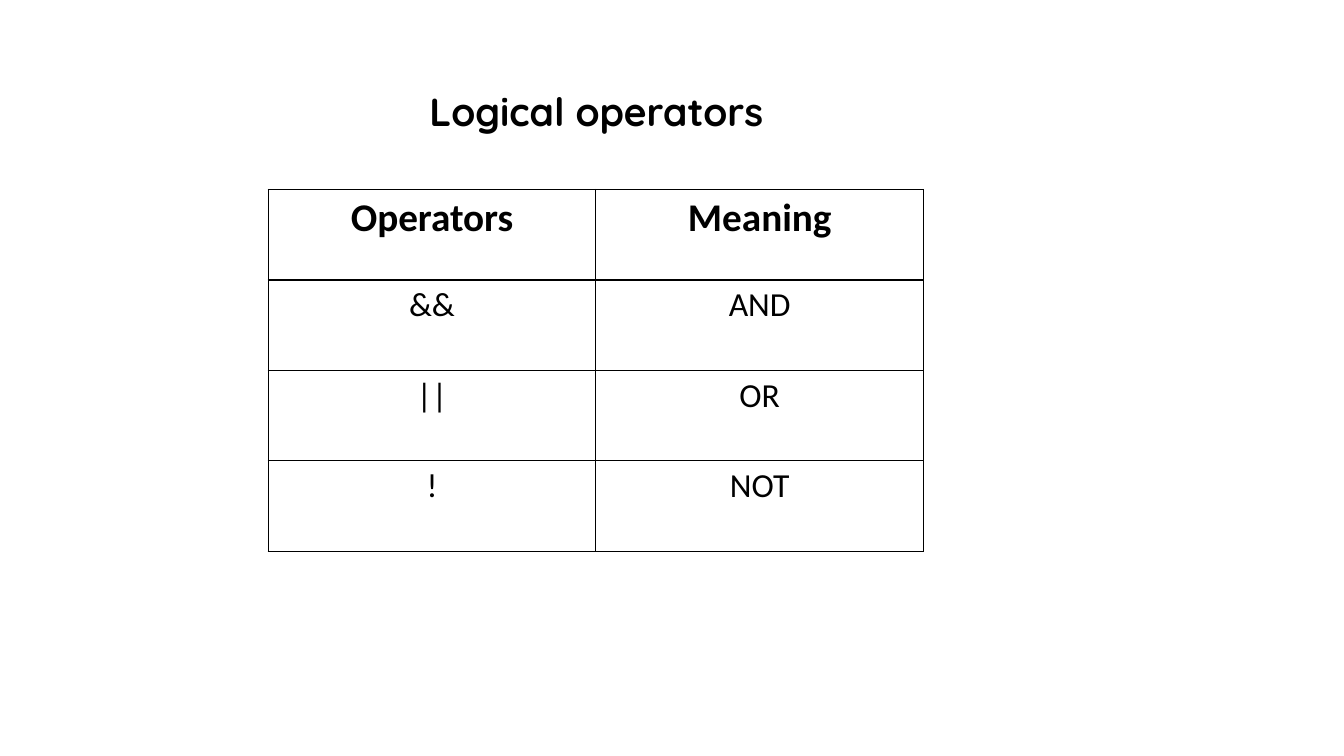
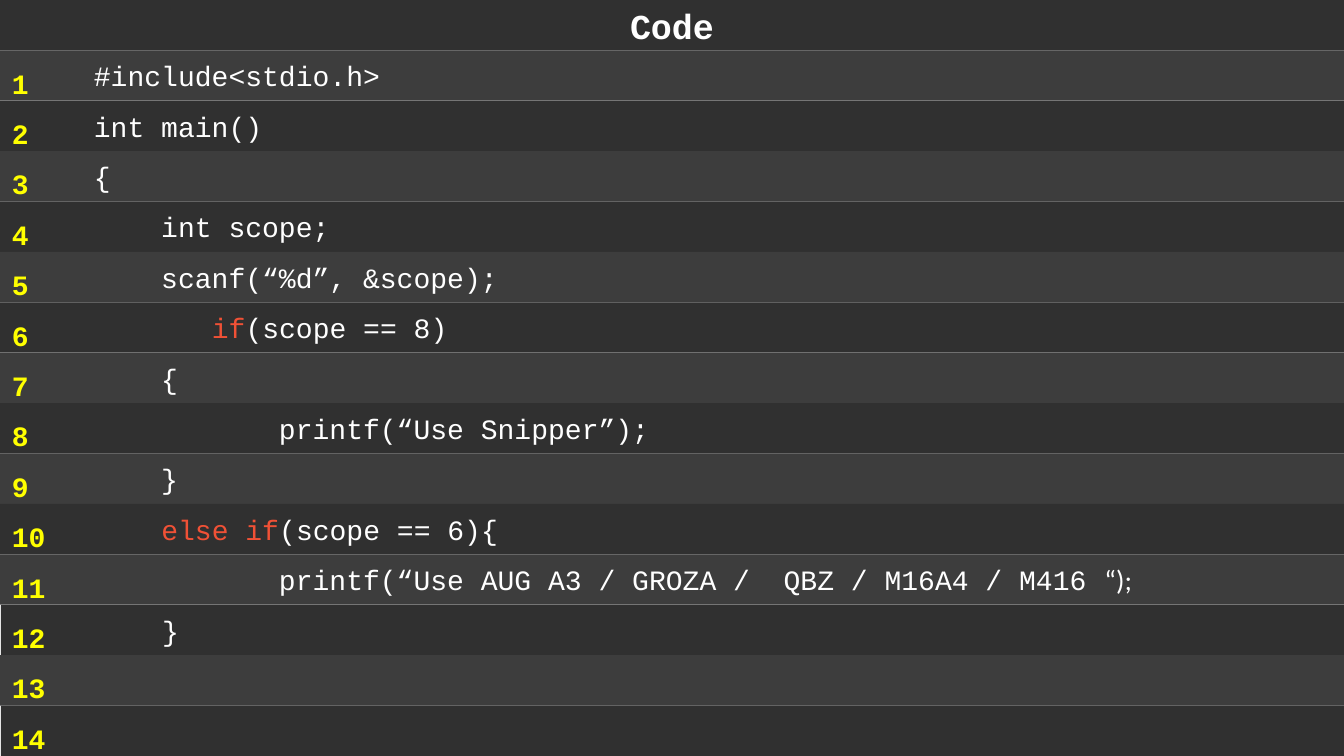
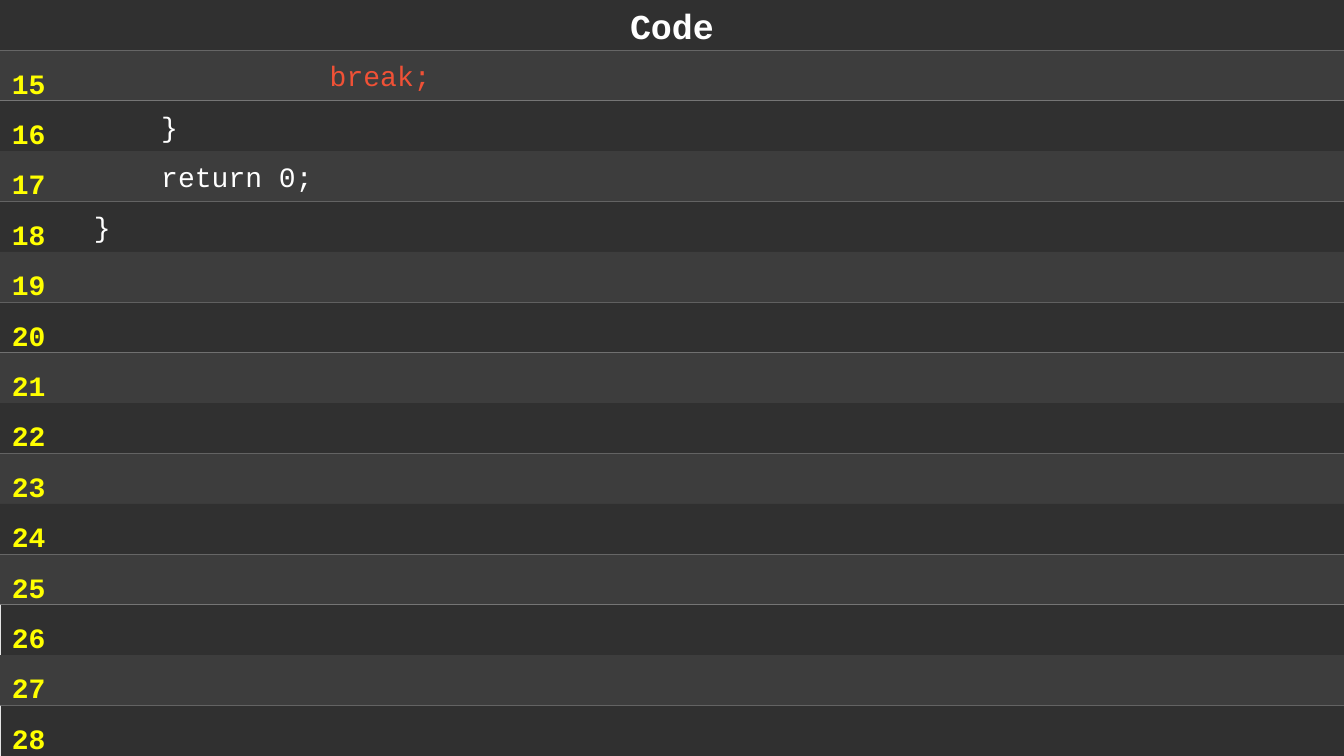
from dataclasses import dataclass
from itertools import zip_longest

from lxml import etree
from pptx import Presentation
from pptx.dml.color import RGBColor
from pptx.enum.shapes import MSO_SHAPE
from pptx.enum.text import MSO_ANCHOR, MSO_AUTO_SIZE, PP_ALIGN
from pptx.oxml.ns import qn
from pptx.util import Inches, Pt

RECTANGLE = MSO_SHAPE.RECTANGLE
MIDDLE = MSO_ANCHOR.MIDDLE
CENTER = PP_ALIGN.CENTER
LEFT = PP_ALIGN.LEFT
GROW = MSO_AUTO_SIZE.SHAPE_TO_FIT_TEXT

BLACK = RGBColor(0x00, 0x00, 0x00)
WHITE = RGBColor(0xFF, 0xFF, 0xFF)
DARK_BAND = RGBColor(0x30, 0x30, 0x30)
LIGHT_BAND = RGBColor(0x3D, 0x3D, 0x3D)
KEYWORD_RED = RGBColor(0xF0, 0x51, 0x36)
NUMBER_YELLOW = RGBColor(0xFF, 0xFF, 0x00)

SLIDE_WIDTH = 13.33
SLIDE_HEIGHT = 7.5
BAND_HEIGHT = 0.5
LINES_PER_PAGE = 14
BAND_SHIFTS = {12: 0.01, 13: -0.01, 14: 0.01}


@dataclass(frozen=True)
class TextStyle:
    font: str
    size: int
    color: RGBColor
    bold: bool = False


@dataclass(frozen=True)
class Span:
    text: str
    style: TextStyle


TITLE = TextStyle("Quicksand", 28, BLACK, True)
TABLE_HEAD = TextStyle("Calibri", 28, BLACK, True)
TABLE_BODY = TextStyle("Calibri", 24, BLACK)
CODE_TITLE = TextStyle("Courier New", 25, WHITE, True)
CODE = TextStyle("Courier New", 20, WHITE)
KEYWORD = TextStyle("Courier New", 20, KEYWORD_RED)
CODE_TAIL = TextStyle("Calibri", 20, WHITE)
LINE_NUMBER = TextStyle("Courier New", 20, NUMBER_YELLOW, True)

OPERATORS = [("Operators", "Meaning"), ("&&", "AND"), ("||", "OR"), ("!", "NOT")]

CODE_PAGES = [
    [
        [Span("  #include<stdio.h>", CODE)],
        [Span("  int main()", CODE)],
        [Span("  {", CODE)],
        [Span("      int scope;", CODE)],
        [Span("      scanf(“%d”, &scope);", CODE)],
        [Span("         ", CODE), Span("if", KEYWORD), Span("(scope == 8)", CODE)],
        [Span("      {", CODE)],
        [Span("             printf(“Use Snipper”);", CODE)],
        [Span("      }", CODE)],
        [Span("      ", CODE), Span("else if", KEYWORD), Span("(scope == 6){", CODE)],
        [
            Span("             printf(“Use AUG A3 / GROZA /  QBZ / M16A4 / M416 ", CODE),
            Span("“);", CODE_TAIL),
        ],
        [Span("      }", CODE)],
    ],
    [
        [Span("                ", CODE), Span("break;", KEYWORD)],
        [Span("      }", CODE)],
        [Span("      return 0;", CODE)],
        [Span("  }", CODE)],
    ],
]


def add_spans(para, spans: list[Span], align=LEFT) -> None:
    para.alignment = align
    for span in spans:
        run = para.add_run()
        run.text = span.text
        run.font.name = span.style.font
        run.font.size = Pt(span.style.size)
        run.font.bold = span.style.bold
        run.font.color.rgb = span.style.color


def add_text_box(page, left: float, top: float, width: float, height: float,
                 lines: list[Span], align=LEFT) -> None:
    box = page.shapes.add_textbox(Inches(left), Inches(top), Inches(width), Inches(height))
    frame = box.text_frame
    frame.word_wrap = True
    frame.auto_size = GROW
    for index, line in enumerate(lines):
        para = frame.add_paragraph() if index else frame.paragraphs[0]
        para.line_spacing = 1.5
        add_spans(para, [line], align)


def add_band(page, row: int):
    shift = BAND_SHIFTS.get(row, 0)
    band = page.shapes.add_shape(RECTANGLE, Inches(shift), Inches(row * BAND_HEIGHT),
                                 Inches(SLIDE_WIDTH + max(-shift, 0)), Inches(BAND_HEIGHT))
    band.shadow.inherit = False
    band.fill.solid()
    band.fill.fore_color.rgb = LIGHT_BAND if row % 2 else DARK_BAND
    band.line.fill.background()
    band.text_frame.vertical_anchor = MIDDLE
    return band.text_frame.paragraphs[0]


def add_cell_borders(cell, color: RGBColor) -> None:
    properties = cell._tc.get_or_add_tcPr()
    for position, side in enumerate(("a:lnL", "a:lnR", "a:lnT", "a:lnB")):
        border = etree.Element(qn(side), w=str(Pt(1)))
        fill = etree.SubElement(border, qn("a:solidFill"))
        etree.SubElement(fill, qn("a:srgbClr"), val=str(color))
        properties.insert(position, border)


def add_operator_page(deck) -> None:
    page = deck.slides.add_slide(deck.slide_layouts[6])
    add_text_box(page, 2.41, 0.58, 7.01, 0.75, [Span("Logical operators", TITLE)], CENTER)
    table = page.shapes.add_table(len(OPERATORS), 2, Inches(2.66), Inches(1.88),
                                  Inches(6.5), Inches(3.59)).table
    table.first_row = False
    table.horz_banding = False
    for row, texts in enumerate(OPERATORS):
        for column, text in enumerate(texts):
            cell = table.cell(row, column)
            cell.fill.background()
            add_cell_borders(cell, BLACK)
            style = TABLE_BODY if row else TABLE_HEAD
            add_spans(cell.text_frame.paragraphs[0], [Span(text, style)], CENTER)


def add_code_page(deck, lines: list[list[Span]], first_number: int) -> None:
    page = deck.slides.add_slide(deck.slide_layouts[6])
    add_spans(add_band(page, 0), [Span("Code", CODE_TITLE)], CENTER)
    for row, spans in zip_longest(range(1, LINES_PER_PAGE + 1), lines, fillvalue=[]):
        para = add_band(page, row)
        para.level = 1
        properties = para._p.get_or_add_pPr()
        properties.set("marL", str(Inches(0.5)))
        properties.set("indent", "0")
        add_spans(para, spans)
    numbers = range(first_number, first_number + LINES_PER_PAGE)
    add_text_box(page, 0.02, 0.44, 0.56, 7.13,
                 [Span(str(number), LINE_NUMBER) for number in numbers])


def main() -> None:
    deck = Presentation()
    deck.slide_width = Inches(SLIDE_WIDTH)
    deck.slide_height = Inches(SLIDE_HEIGHT)
    add_operator_page(deck)
    for index, lines in enumerate(CODE_PAGES):
        add_code_page(deck, lines, index * LINES_PER_PAGE + 1)
    deck.save("out.pptx")


if __name__ == "__main__":
    main()
